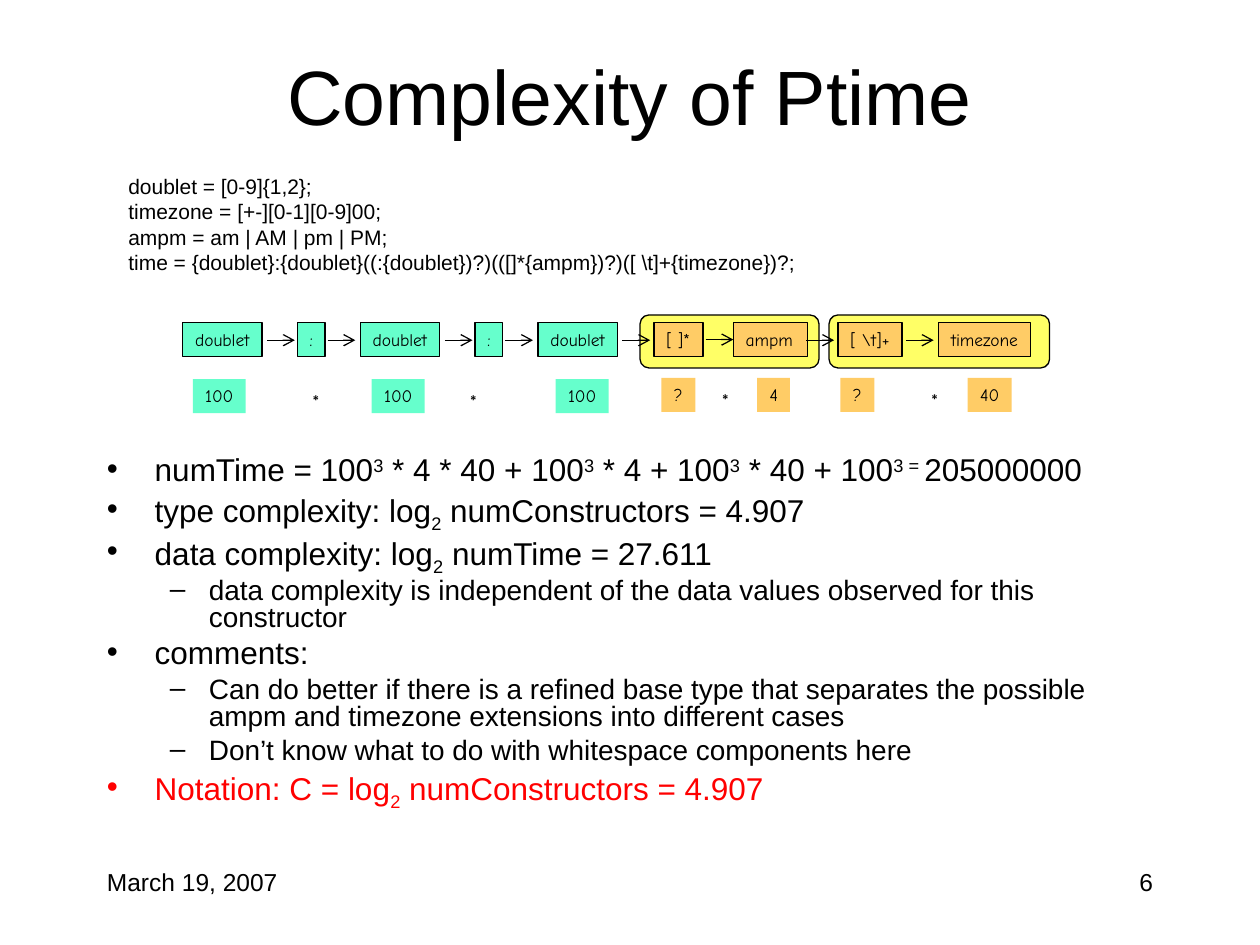
from lxml import etree
from pptx import Presentation
from pptx.dml.color import RGBColor
from pptx.enum.shapes import MSO_CONNECTOR, MSO_SHAPE
from pptx.enum.text import MSO_ANCHOR, MSO_AUTO_SIZE, PP_ALIGN
from pptx.oxml.ns import qn
from pptx.util import Inches, Pt

RECTANGLE = MSO_SHAPE.RECTANGLE
ROUNDED = MSO_SHAPE.ROUNDED_RECTANGLE
STRAIGHT = MSO_CONNECTOR.STRAIGHT
LEFT, CENTER, RIGHT = PP_ALIGN.LEFT, PP_ALIGN.CENTER, PP_ALIGN.RIGHT
TOP, MIDDLE = MSO_ANCHOR.TOP, MSO_ANCHOR.MIDDLE
GROW, FIXED = MSO_AUTO_SIZE.SHAPE_TO_FIT_TEXT, MSO_AUTO_SIZE.NONE
COLORS = {"black": "000000", "red": "FF0000", "green": "66FFCC",
          "orange": "FFCC66", "yellow": "FFFF66"}


def color(name):
    return RGBColor.from_string(COLORS[name])


def write_text(text, frame, font="Arial", size=12, ink="black", align=LEFT,
               anchor=TOP, wrap=True, fit=FIXED, script=0, new=False):
    frame.word_wrap = wrap
    frame.auto_size = fit
    frame.vertical_anchor = anchor
    paragraph = frame.add_paragraph() if new else frame.paragraphs[0]
    paragraph.alignment = align
    for index, part in enumerate([text] if isinstance(text, str) else text):
        run = paragraph.add_run()
        run.text = part
        run.font.name = font
        run.font.size = Pt(size)
        run.font.color.rgb = color(ink)
        if index % 2:
            run.font._element.set("baseline", str(script * 1000))
    return paragraph


presentation = Presentation()
presentation.slide_width = Inches(10)
presentation.slide_height = Inches(7.5)
slide = presentation.slides.add_slide(presentation.slide_layouts[6])
shapes = slide.shapes

for left, width in [(6.58, 1.75), (5.08, 1.42)]:
    group = shapes.add_shape(ROUNDED, Inches(left), Inches(2.5), Inches(width), Inches(0.42))
    group.shadow.inherit = False
    group.fill.solid()
    group.fill.fore_color.rgb = color("yellow")
    group.line.color.rgb = color("black")
    group.line.width = Pt(0.75)

title = shapes.add_textbox(Inches(0.75), Inches(0.42), Inches(8.5), Inches(0.67))
write_text("Complexity of Ptime", title.text_frame, size=44, align=CENTER, anchor=MIDDLE)

grammar = shapes.add_textbox(Inches(0.92), Inches(1.33), Inches(6.08), Inches(0.9))
grammar_lines = [
    "doublet = [0-9]{1,2};",
    "timezone = [+-][0-1][0-9]00;",
    "ampm = am | AM | pm | PM;",
    "time = {doublet}:{doublet}((:{doublet})?)(([]*{ampm})?)([ \\t]+{timezone})?;",
]
for index, line in enumerate(grammar_lines):
    write_text(line, grammar.text_frame, fit=GROW, new=index > 0)

tokens = [
    ("doublet", 1.45, 0.63, "green"), (":", 2.36, 0.22, "green"),
    ("doublet", 2.86, 0.63, "green"), (":", 3.77, 0.22, "green"),
    ("doublet", 4.27, 0.63, "green"), ("[ ]*", 5.19, 0.39, "orange"),
    ("ampm", 5.82, 0.59, "orange"), ("[ \\t]+", 6.65, 0.51, "orange"),
    ("timezone", 7.45, 0.73, "orange"),
]
counts = [
    ("100", 1.53, 0.42, "green"), ("100", 2.95, 0.42, "green"),
    ("100", 4.41, 0.42, "green"), ("?", 5.25, 0.27, "orange"),
    ("4", 6.01, 0.26, "orange"), ("?", 6.67, 0.27, "orange"),
    ("40", 7.68, 0.35, "orange"),
]
count_tops = {"green": 3.01, "orange": 3}
boxes = [(*token, 2.56, True) for token in tokens]
boxes += [(*count, count_tops[count[3]], False) for count in counts]
token_shapes = {}
for label, left, width, fill, top, outlined in boxes:
    box = shapes.add_shape(RECTANGLE, Inches(left), Inches(top), Inches(width), Inches(0.27))
    box.shadow.inherit = False
    box.fill.solid()
    box.fill.fore_color.rgb = color(fill)
    if outlined:
        box.line.color.rgb = color("black")
        box.line.width = Pt(0.75)
        token_shapes[label] = box
    else:
        box.line.fill.background()
    write_text(label, box.text_frame, font="Comic Neue", size=10, wrap=False, fit=GROW)

for left, top in [(2.34, 3.01), (3.59, 3.01), (5.59, 3), (7.25, 3)]:
    times = shapes.add_textbox(Inches(left), Inches(top), Inches(0.27), Inches(0.27))
    write_text("∗", times.text_frame, size=10, wrap=False, fit=GROW)

for start in [2.12, 2.6, 3.53, 4.01, 4.94, 5.6, 6.4, 7.19]:
    arrow = shapes.add_connector(STRAIGHT, Inches(start), Inches(2.7),
                                 Inches(start + 0.22), Inches(2.7))
    if start == 5.6:
        arrow.end_connect(token_shapes["ampm"], 1)
        arrow.begin_y = arrow.end_y
    arrow.line.color.rgb = color("black")
    arrow.line.width = Pt(0.75)
    etree.SubElement(arrow.line._get_or_add_ln(), qn("a:tailEnd"), type="arrow")
    etree.SubElement(arrow._element.spPr, qn("a:effectLst"))

body = shapes.add_textbox(Inches(0.75), Inches(3.58), Inches(8.5), Inches(3.08))
points = [
    (0, ["numTime = 100", "3", " * 4 * 40 + 100", "3", " * 4 + 100", "3",
         " * 40 + 100", "3 = ", "205000000"], 30, "black"),
    (0, ["type complexity: log", "2", " numConstructors = 4.907"], -25, "black"),
    (0, ["data complexity: log", "2", " numTime = 27.611"], -25, "black"),
    (1, "data complexity is independent of the data values observed for this constructor",
     0, "black"),
    (0, "comments:", 0, "black"),
    (1, "Can do better if there is a refined base type that separates the possible "
        "ampm and timezone extensions into different cases", 0, "black"),
    (1, "Don’t know what to do with whitespace components here", 0, "black"),
    (0, ["Notation: C = log", "2", " numConstructors = 4.907"], -25, "red"),
]
levels = [(18, 4.5, 0.38, -0.38, "•"), (16, 4, 0.81, -0.31, "–")]
for index, (level, text, script, ink) in enumerate(points):
    size, space, margin, indent, bullet = levels[level]
    paragraph = write_text(text, body.text_frame, size=size, ink=ink,
                           script=script, new=index > 0)
    paragraph.level = level
    paragraph.line_spacing = 0.8
    paragraph.space_before = Pt(space)
    properties = paragraph._p.get_or_add_pPr()
    properties.set("marL", str(Inches(margin)))
    properties.set("indent", str(Inches(indent)))
    bullet_color = etree.SubElement(properties, qn("a:buClr"))
    etree.SubElement(bullet_color, qn("a:srgbClr"), val=COLORS[ink])
    etree.SubElement(properties, qn("a:buFont"), typeface="Arial")
    etree.SubElement(properties, qn("a:buChar"), char=bullet)

for text, left, align in [("6", 7.17, RIGHT), ("March 19, 2007", 0.75, LEFT)]:
    footer = shapes.add_textbox(Inches(left), Inches(6.83), Inches(2.08), Inches(0.5))
    write_text(text, footer.text_frame, size=14, align=align)

presentation.save("out.pptx")
